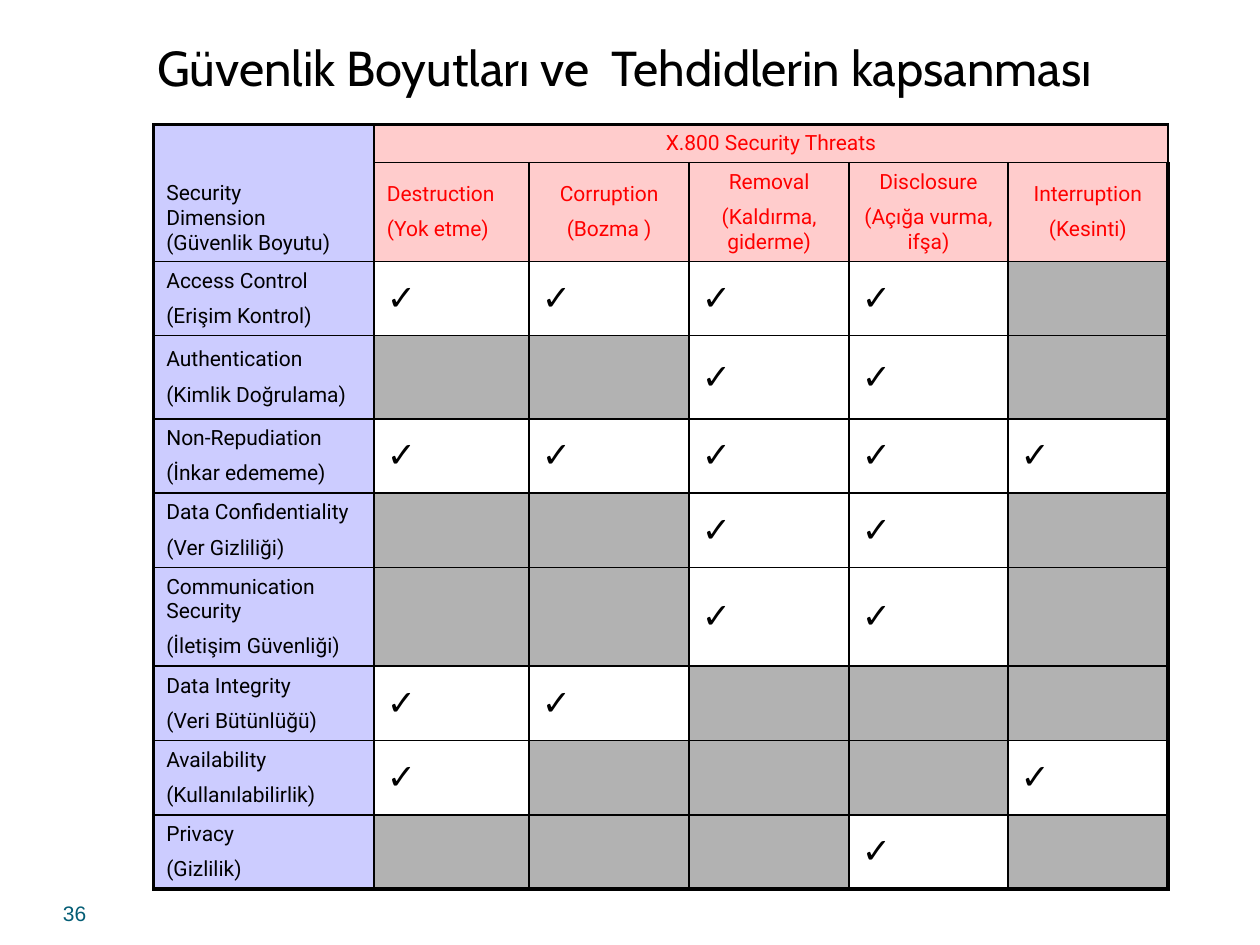
"""Build a slide that maps security dimensions to the X.800 threats they cover."""
from lxml.etree import SubElement
from pptx import Presentation
from pptx.dml.color import RGBColor
from pptx.enum.text import MSO_ANCHOR as Anchor, PP_ALIGN as Align
from pptx.oxml.ns import qn
from pptx.util import Inches, Pt

BLACK = RGBColor(0x00, 0x00, 0x00)
WHITE = RGBColor(0xFF, 0xFF, 0xFF)
RED = RGBColor(0xFF, 0x00, 0x00)
TEAL = RGBColor(0x04, 0x5D, 0x75)
LILAC = RGBColor(0xCC, 0xCC, 0xFF)
PINK = RGBColor(0xFF, 0xCC, 0xCC)
GRAY = RGBColor(0xB2, 0xB2, 0xB2)

TITLE = "Güvenlik Boyutları ve  Tehdidlerin kapsanması"
PAGE_NUMBER = "36"
CORNER = ["Security", "Dimension", "(Güvenlik Boyutu)"]
THREATS_HEADING = "X.800 Security Threats"
THREATS = [
    ("Destruction", "(Yok etme)"),
    ("Corruption", "(Bozma )"),
    ("Removal", "(Kaldırma, giderme)"),
    ("Disclosure", "(Açığa vurma, ifşa)"),
    ("Interruption", "(Kesinti)"),
]
DIMENSIONS = [
    ("Access Control", "(Erişim Kontrol)", {1, 2, 3, 4}),
    ("Authentication", "(Kimlik Doğrulama)", {3, 4}),
    ("Non-Repudiation", "(İnkar edememe)", {1, 2, 3, 4, 5}),
    ("Data Confidentiality", "(Ver Gizliliği)", {3, 4}),
    ("Communication Security", "(İletişim Güvenliği)", {3, 4}),
    ("Data Integrity", "(Veri Bütünlüğü)", {1, 2}),
    ("Availability", "(Kullanılabilirlik)", {1, 5}),
    ("Privacy", "(Gizlilik)", {4}),
]
COLUMN_WIDTHS = [1.75, 1.23, 1.27, 1.27, 1.26, 1.27]
ROW_HEIGHTS = [0.3, 0.78, 0.59, 0.66, 0.59, 0.59, 0.78, 0.59, 0.59, 0.59]
THIN, THICK = 1, 2.25


def write(frame, lines, color, size=12, font="Roboto", bold=False, align=Align.LEFT, gap=0):
    """Write each line as a paragraph, with a gap in points between them."""
    for index, line in enumerate(lines):
        para = frame.add_paragraph() if index else frame.paragraphs[0]
        para.alignment = align
        if index:
            para.space_before = Pt(gap)
        span = para.add_run()
        span.text = line
        span.font.name, span.font.size, span.font.bold = font, Pt(size), bold
        span.font.color.rgb = color


def add_box(page, place, anchor):
    """Add a text box without margins and return its text frame."""
    frame = page.shapes.add_textbox(*map(Inches, place)).text_frame
    frame.word_wrap = True
    frame.vertical_anchor = anchor
    frame.margin_left = frame.margin_right = frame.margin_top = frame.margin_bottom = 0
    return frame


def paint(cell, fill, outer_sides):
    """Border a cell, heavier on the table's outer sides, and fill it."""
    properties = cell._tc.get_or_add_tcPr()
    for side in "LRTB":
        width = THICK if side in outer_sides else THIN
        line = SubElement(properties, qn(f"a:ln{side}"), w=str(Pt(width)))
        SubElement(SubElement(line, qn("a:solidFill")), qn("a:srgbClr"), val=str(BLACK))
    cell.fill.solid()
    cell.fill.fore_color.rgb = fill


def cell_fill(row, column):
    """Return the fill that a cell's place calls for."""
    if column == 0:
        return LILAC
    if row < 2:
        return PINK
    return WHITE if column in DIMENSIONS[row - 2][2] else GRAY


def add_coverage_table(page):
    """Add the table of dimensions against threats."""
    rows, columns = len(ROW_HEIGHTS), len(COLUMN_WIDTHS)
    place = (1.22, 0.99, sum(COLUMN_WIDTHS), sum(ROW_HEIGHTS))
    table = page.shapes.add_table(rows, columns, *map(Inches, place)).table
    table.first_row = table.horz_banding = False
    for column, width in zip(table.columns, COLUMN_WIDTHS):
        column.width = Inches(width)
    for row, height in zip(table.rows, ROW_HEIGHTS):
        row.height = Inches(height)

    for row in range(rows):
        for column in range(columns):
            edges = {"L": column == 0, "R": column == columns - 1,
                     "T": row == 0, "B": row == rows - 1}
            cell = table.cell(row, column)
            cell.vertical_anchor = Anchor.MIDDLE
            paint(cell, cell_fill(row, column), [side for side in edges if edges[side]])

    corner, heading = table.cell(0, 0), table.cell(0, 1)
    corner.merge(table.cell(1, 0))
    corner.vertical_anchor = Anchor.BOTTOM
    write(corner.text_frame, CORNER, BLACK)
    heading.merge(table.cell(0, columns - 1))
    heading.vertical_anchor = Anchor.TOP
    write(heading.text_frame, [THREATS_HEADING], RED, align=Align.CENTER)

    for column, names in enumerate(THREATS, 1):
        align = Align.LEFT if column == 1 else Align.CENTER
        write(table.cell(1, column).text_frame, names, RED, align=align, gap=6)
    for row, (*names, covered) in enumerate(DIMENSIONS, 2):
        write(table.cell(row, 0).text_frame, names, BLACK, gap=6)
        for column in sorted(covered):
            write(table.cell(row, column).text_frame, ["✓"], BLACK, size=20, bold=True)


def main():
    """Build and save the deck."""
    deck = Presentation()
    deck.slide_width, deck.slide_height = Inches(10), Inches(7.5)
    page = deck.slides.add_slide(deck.slide_layouts[6])
    number = add_box(page, (0.5, 6.95, 2.33, 0.4), Anchor.BOTTOM)
    write(number, [PAGE_NUMBER], TEAL, font="Arial")
    title = add_box(page, (0.35, 0.25, 9.21, 0.59), Anchor.MIDDLE)
    write(title, [TITLE], BLACK, size=28, font="Cabin", align=Align.CENTER)
    title.paragraphs[0].line_spacing = Pt(32)
    add_coverage_table(page)
    deck.save("out.pptx")


if __name__ == "__main__":
    main()
